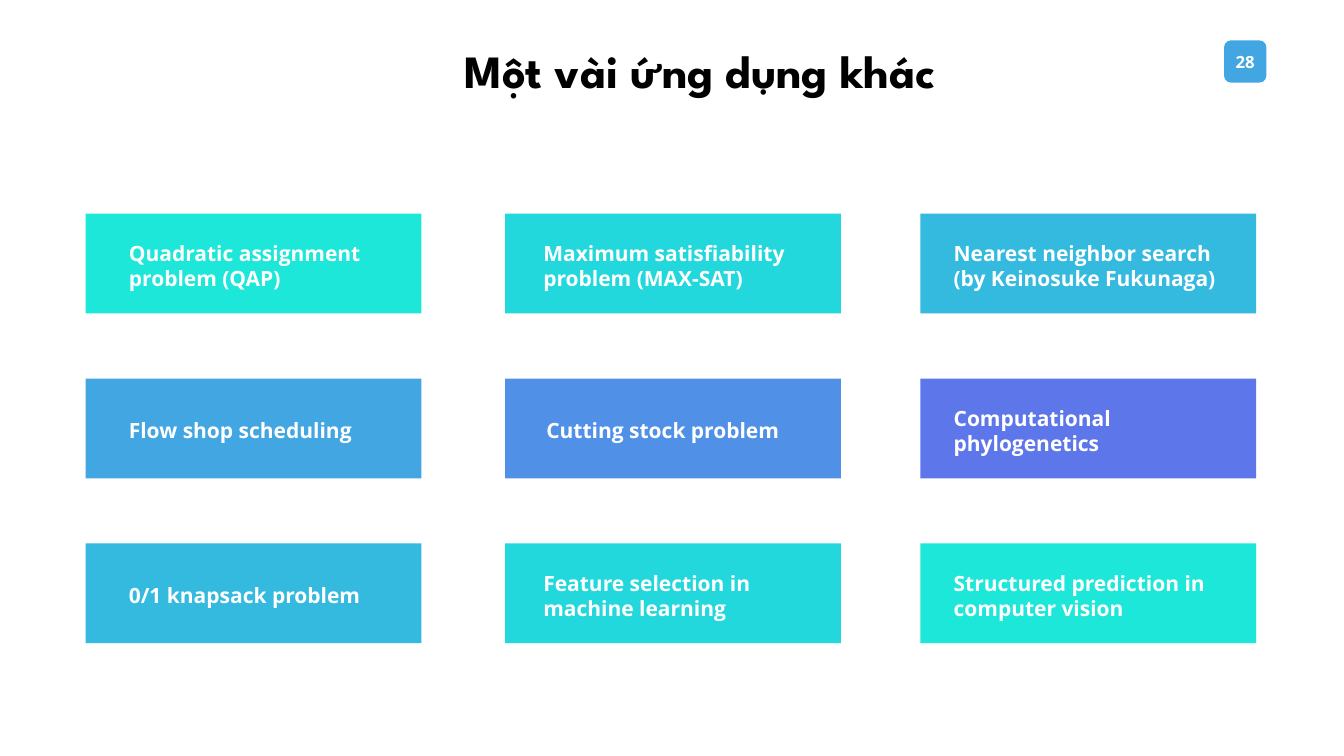
from dataclasses import dataclass

import pptx
import pptx.dml.color
import pptx.enum.shapes
import pptx.enum.text
import pptx.presentation
import pptx.shapes.autoshape
import pptx.slide
import pptx.text.text
import pptx.util

RGBColor = pptx.dml.color.RGBColor
BLACK = RGBColor(0x00, 0x00, 0x00)
WHITE = RGBColor(0xFF, 0xFF, 0xFF)
TURQUOISE = RGBColor(0x1D, 0xE7, 0xD8)
CYAN = RGBColor(0x23, 0xD8, 0xDC)
SKY = RGBColor(0x34, 0xB9, 0xDF)
BLUE = RGBColor(0x42, 0xA6, 0xE3)
CORNFLOWER = RGBColor(0x50, 0x91, 0xE7)
INDIGO = RGBColor(0x5D, 0x76, 0xEA)

# Grid of cards, in inches
COLUMN_LEFTS = (0.85, 5.01, 9.13)
LABEL_INDENTS = (0.33, 0.28, 0.23)
FIRST_ROW_TOP = 2.12
ROW_PITCH = 1.635
CARD_WIDTH, CARD_HEIGHT = 3.33, 0.99
LINE_HEIGHT, LABEL_PADDING = 0.255, 0.1
LABEL_DROP = 0.02


@dataclass(frozen=True)
class Application:
    """One card: its grid cell, colour, label and label extent."""
    column: int
    row: int
    color: RGBColor
    label: str
    label_width: float
    lines: int
    nudge: float = 0


APPLICATIONS = (
    Application(0, 0, TURQUOISE, "Quadratic assignment problem (QAP)", 2.85, 2),
    Application(1, 0, CYAN, "Maximum satisfiability problem (MAX-SAT)", 2.95, 2),
    Application(2, 0, SKY, "Nearest neighbor search (by Keinosuke Fukunaga)", 2.88, 3),
    Application(0, 1, BLUE, "Flow shop scheduling", 2.64, 1),
    Application(1, 1, CORNFLOWER, "Cutting stock problem", 2.75, 1, nudge=0.03),
    Application(2, 1, INDIGO, "Computational phylogenetics", 2.79, 2),
    Application(0, 2, SKY, "0/1 knapsack problem", 2.5, 1),
    Application(1, 2, CYAN, "Feature selection in machine learning", 2.65, 3),
    Application(2, 2, TURQUOISE, "Structured prediction in computer vision", 2.88, 3),
)


def inches(*lengths: float) -> list[pptx.util.Length]:
    return [pptx.util.Inches(length) for length in lengths]


def add_text(paragraph: pptx.text.text._Paragraph, text: str, size: float,
             color: RGBColor, font: str = "Open Sans") -> None:
    run = paragraph.add_run()
    run.text = text
    run.font.name = font
    run.font.size = pptx.util.Pt(size)
    run.font.bold = True
    run.font.color.rgb = color


def add_block(slide: pptx.slide.Slide, preset: pptx.enum.shapes.MSO_SHAPE,
              left: float, top: float, width: float, height: float,
              color: RGBColor) -> pptx.shapes.autoshape.Shape:
    block = slide.shapes.add_shape(preset, *inches(left, top, width, height))
    block.shadow.inherit = False
    block.fill.solid()
    block.fill.fore_color.rgb = color
    block.line.fill.background()
    return block


def add_title(slide: pptx.slide.Slide) -> None:
    title = slide.shapes.title
    title.left, title.top, title.width, title.height = inches(4.29, 0.23, 5.3, 0.75)
    frame = title.text_frame
    frame.auto_size = pptx.enum.text.MSO_AUTO_SIZE.SHAPE_TO_FIT_TEXT
    frame.vertical_anchor = pptx.enum.text.MSO_ANCHOR.TOP
    heading = frame.paragraphs[0]
    heading.alignment = pptx.enum.text.PP_ALIGN.CENTER
    heading.line_spacing = pptx.util.Pt(50)
    add_text(heading, "Một vài ứng dụng khác", 33, BLACK, "League Spartan")


def add_page_badge(slide: pptx.slide.Slide) -> None:
    badge = add_block(slide, pptx.enum.shapes.MSO_SHAPE.ROUNDED_RECTANGLE,
                      12.14, 0.4, 0.42, 0.42, BLUE)
    frame = badge.text_frame
    frame.margin_left = frame.margin_right = 0
    frame.vertical_anchor = pptx.enum.text.MSO_ANCHOR.MIDDLE
    number = frame.paragraphs[0]
    number.alignment = pptx.enum.text.PP_ALIGN.CENTER
    add_text(number, "28", 12, WHITE)


def add_application(slide: pptx.slide.Slide, application: Application) -> None:
    left = COLUMN_LEFTS[application.column]
    top = FIRST_ROW_TOP + application.row * ROW_PITCH
    add_block(slide, pptx.enum.shapes.MSO_SHAPE.RECTANGLE,
              left, top, CARD_WIDTH, CARD_HEIGHT, application.color)

    # Label centred on the card's height
    label_left = left + LABEL_INDENTS[application.column] + application.nudge
    label_height = application.lines * LINE_HEIGHT + LABEL_PADDING
    label_top = top + (CARD_HEIGHT - label_height) / 2 + LABEL_DROP
    label = slide.shapes.add_textbox(
        *inches(label_left, label_top, application.label_width, label_height))
    frame = label.text_frame
    frame.word_wrap = True
    frame.auto_size = pptx.enum.text.MSO_AUTO_SIZE.SHAPE_TO_FIT_TEXT
    frame.vertical_anchor = pptx.enum.text.MSO_ANCHOR.MIDDLE
    add_text(frame.paragraphs[0], application.label, 15, WHITE)


def main() -> None:
    presentation = pptx.Presentation()
    presentation.slide_width, presentation.slide_height = inches(13.33, 7.5)
    title_only = presentation.slide_layouts[5]
    slide = presentation.slides.add_slide(title_only)

    add_page_badge(slide)
    add_title(slide)
    for application in APPLICATIONS:
        add_application(slide, application)
    presentation.save("out.pptx")


if __name__ == "__main__":
    main()
